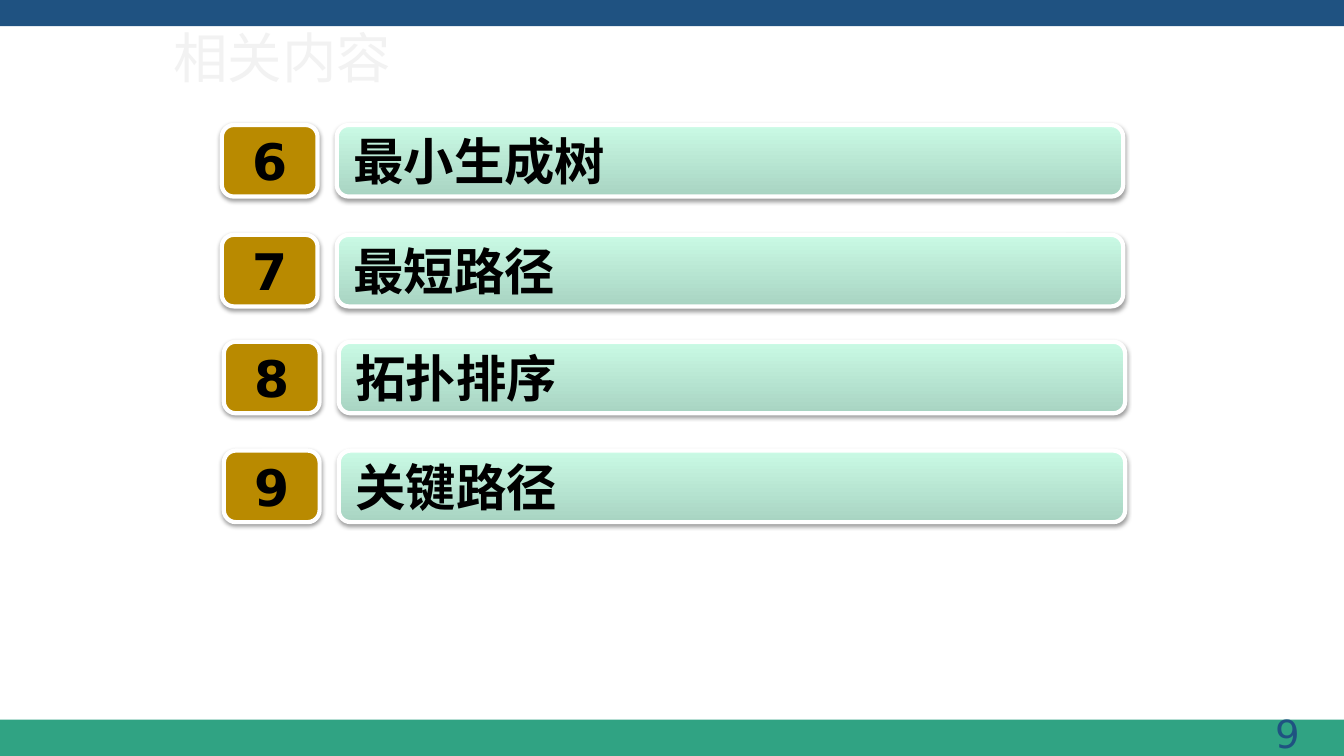
from lxml.etree import SubElement
from pptx import Presentation
from pptx.dml.color import RGBColor
from pptx.enum.shapes import MSO_SHAPE
from pptx.enum.text import MSO_ANCHOR, MSO_AUTO_SIZE, PP_ALIGN
from pptx.oxml.ns import qn
from pptx.util import Inches, Pt

COLORS = {
    "navy": "1F5281", "green": "30A383", "gold": "B98A00", "white": "FFFFFF",
    "black": "000000", "pale": "F2F2F2", "mint": "CAFAE5", "sage": "A8D4C2",
}
TOPICS = [
    ("6", "最小生成树", 2.2, 1.24),
    ("7", "最短路径", 2.2, 2.33),
    ("8", "拓扑排序", 2.22, 3.39),
    ("9", "关键路径", 2.22, 4.47),
]


def color(name):
    return RGBColor.from_string(COLORS[name])


def apply(target, values):
    for name, value in values.items():
        setattr(target, name, value)


class Deck:
    inset = {"margin_left": Inches(0.13), "margin_right": Inches(0.13),
             "margin_top": Inches(0.06), "margin_bottom": Inches(0.06)}
    label = {"name": "DejaVu Sans", "size": Pt(36), "bold": True}

    def __init__(self, slide):
        self.slide = slide

    def letter(self, shape, text, font, tint, align, **frame):
        """Put one formatted line of text into the shape."""
        box = shape.text_frame
        apply(box, {"word_wrap": True, "vertical_anchor": MSO_ANCHOR.MIDDLE, **frame})
        line = box.paragraphs[0]
        line.alignment = align
        run = line.add_run()
        run.text = text
        apply(run.font, font)
        run.font.color.rgb = color(tint)

    def title(self, text, *place):
        shape = self.slide.shapes.title
        apply(shape, dict(zip(("left", "top", "width", "height"), map(Inches, place))))
        self.letter(shape, text, {"name": "Calibri", "size": Pt(38.9)}, "pale",
                    PP_ALIGN.LEFT, auto_size=MSO_AUTO_SIZE.NONE)

    def number(self, text, *place):
        shape = self.slide.shapes.add_textbox(*map(Inches, place))
        self.letter(shape, text, {"name": "DejaVu Sans", "size": Pt(27.6)}, "navy",
                    PP_ALIGN.RIGHT, auto_size=MSO_AUTO_SIZE.SHAPE_TO_FIT_TEXT)

    def band(self, tint, *place):
        shape = self.slide.shapes.add_shape(MSO_SHAPE.RECTANGLE, *map(Inches, place))
        shape.shadow.inherit = False
        shape.fill.solid()
        shape.fill.fore_color.rgb = color(tint)
        shape.line.fill.background()

    def shade(self, shape):
        """Give the shape a soft shadow just below it."""
        shape.shadow.inherit = False
        effects = shape._element.spPr.find(qn("a:effectLst"))
        outer = SubElement(effects, qn("a:outerShdw"), blurRad="40000", dist="20000",
                           dir="5400000", rotWithShape="0")
        tint = SubElement(outer, qn("a:srgbClr"), val=COLORS["black"])
        SubElement(tint, qn("a:alpha"), val="38000")

    def button(self, text, tints, align, *place):
        """Draw a rounded label; two tints make a gradient from bottom to top."""
        shape = self.slide.shapes.add_shape(
            MSO_SHAPE.ROUNDED_RECTANGLE, *map(Inches, place))
        if len(tints) == 1:
            shape.fill.solid()
            shape.fill.fore_color.rgb = color(tints[0])
        else:
            shape.fill.gradient()
            shape.fill.gradient_angle = 90
            for stop, tint in zip(shape.fill.gradient_stops, tints):
                stop.color.rgb = color(tint)
        shape.line.color.rgb = color("white")
        shape.line.width = Pt(3)
        self.shade(shape)
        self.letter(shape, text, self.label, "black", align, **self.inset)

    def topic(self, number, text, left, top):
        self.button(number, ["gold"], PP_ALIGN.CENTER, left, top, 0.95, 0.71)
        self.button(text, ["sage", "mint"], PP_ALIGN.JUSTIFY, left + 1.14, top, 7.8, 0.71)


def main():
    show = Presentation()
    apply(show, {"slide_width": Inches(13.33), "slide_height": Inches(7.5)})
    deck = Deck(show.slides.add_slide(show.slide_layouts[5]))
    deck.band("green", 0, 7.14, 13.33, 0.36)
    deck.band("navy", 0, 0, 13.33, 0.26)
    deck.number("9", 10.05, 6.99, 2.94, 0.57)
    deck.title("相关内容", 1.62, 0.21, 11.19, 0.71)
    for topic in TOPICS:
        deck.topic(*topic)
    show.save("out.pptx")


if __name__ == "__main__":
    main()
